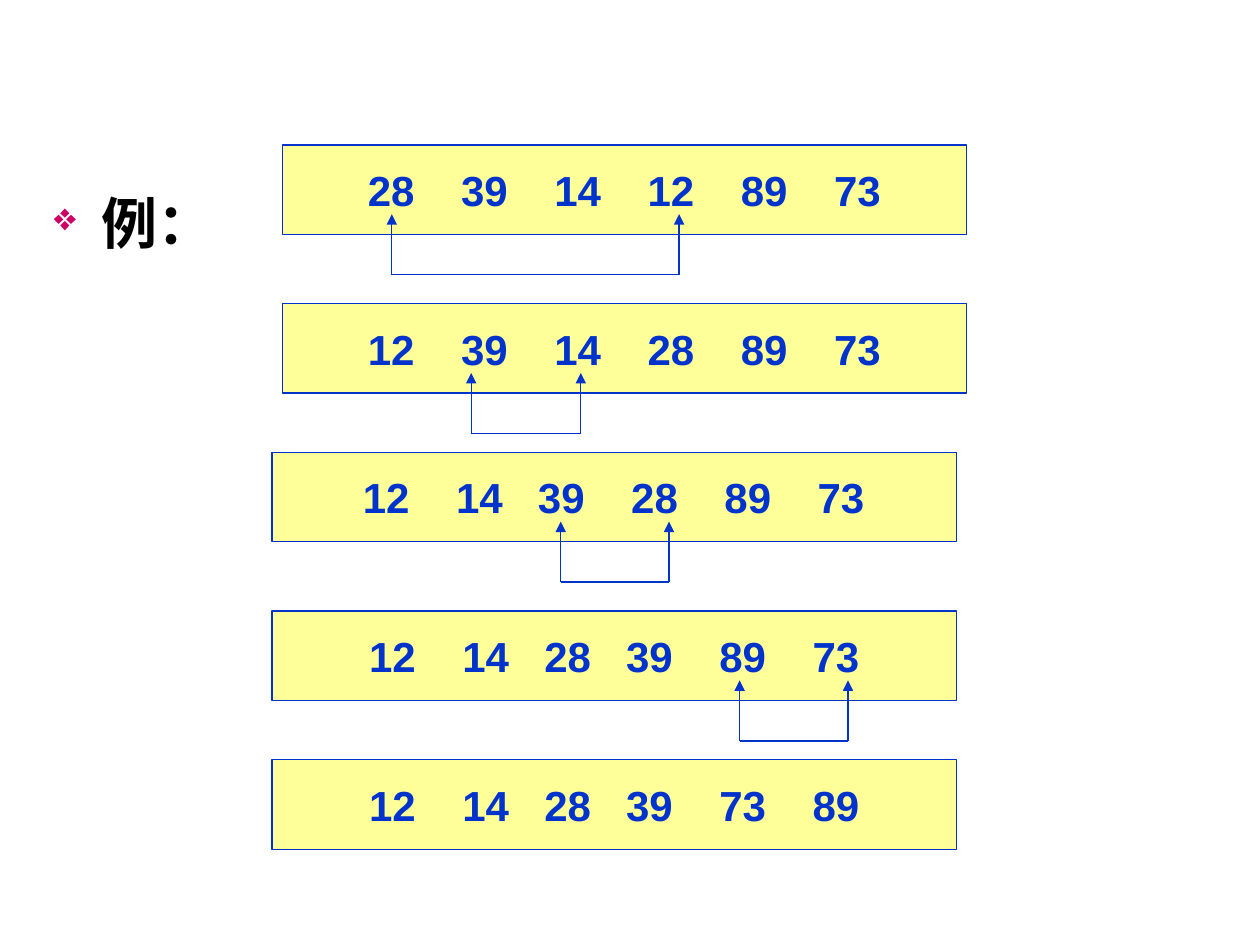
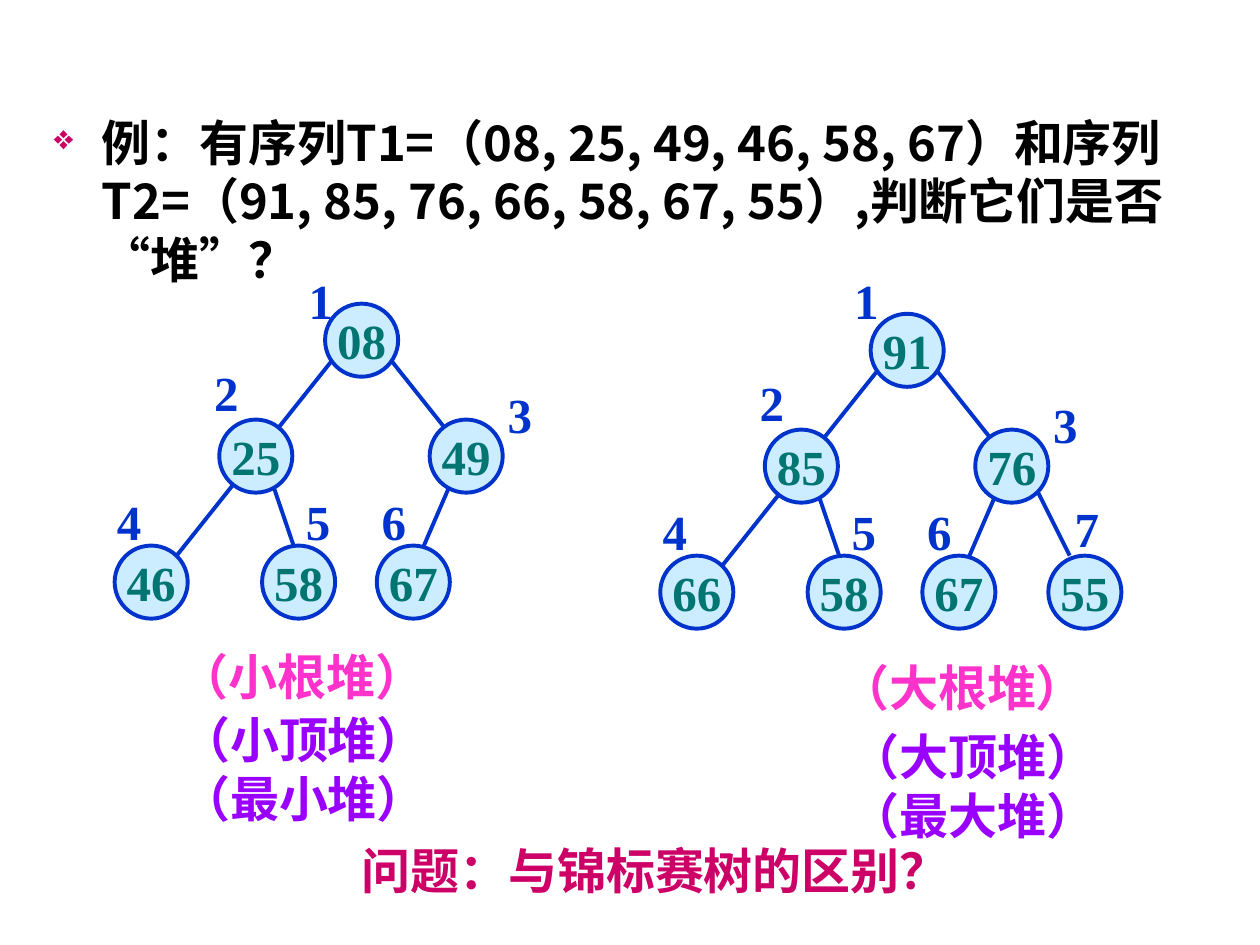
from itertools import accumulate
from typing import NamedTuple, Optional

from lxml import etree
from pptx import Presentation, util as u
from pptx.dml.color import RGBColor
from pptx.enum import lang, shapes, text
from pptx.oxml import ns

PX = 9144  # EMU in one px, at 100 px to the inch

BLUE, TEAL, BLACK = "0033CC", "007572", "000000"
YELLOW, PALE_BLUE = "FFFF99", "CCECFF"
CRIMSON, PINK, PURPLE = "CC0066", "FF33CC", "9900FF"
SANS, SERIF, CHINESE = "Arial", "Times New Roman", "Noto Sans CJK SC"
LEFT, CENTER = text.PP_ALIGN.LEFT, text.PP_ALIGN.CENTER
TOP, MIDDLE = text.MSO_ANCHOR.TOP, text.MSO_ANCHOR.MIDDLE
RECTANGLE, OVAL = shapes.MSO_SHAPE.RECTANGLE, shapes.MSO_SHAPE.OVAL


class Point(NamedTuple):
    x: int
    y: int

    def shifted(self, by: "Point") -> "Point":
        return Point(self.x + by.x, self.y + by.y)


class Box(NamedTuple):
    left: int
    top: int
    width: int
    height: int


# Shared drawing tools
def px(length: int) -> u.Emu:
    return u.Emu(length * PX)


def color(value: str) -> RGBColor:
    return RGBColor.from_string(value)


def add_element(parent, tag: str, **attributes: str):
    return etree.SubElement(parent, ns.qn(tag), **attributes)


def add_bullet(paragraph) -> None:
    properties = paragraph._p.get_or_add_pPr()
    properties.set("marL", str(px(38)))
    properties.set("indent", str(px(-38)))
    add_element(add_element(properties, "a:buClr"), "a:srgbClr", val=CRIMSON)
    add_element(properties, "a:buSzPct", val="70000")
    add_element(properties, "a:buChar", char="❖")


def add_tabs(paragraph, stops: list[int]) -> None:
    tab_list = add_element(paragraph._p.get_or_add_pPr(), "a:tabLst")
    for stop in stops:
        add_element(tab_list, "a:tab", pos=str(px(stop)), algn="l")


def write(shape, words: str, *, size: int = 28, font: str = CHINESE, ink: str = BLACK,
          align=LEFT, anchor=TOP, wrap: bool = True, bullet: bool = False,
          spacing: float = 1.0, inset: int = 10, tabs: Optional[list[int]] = None) -> None:
    """Fill a shape with bold text, one paragraph per line."""
    frame = shape.text_frame
    frame.word_wrap, frame.vertical_anchor = wrap, anchor
    frame.margin_left, frame.margin_right = px(inset), px(10)
    frame.margin_top = frame.margin_bottom = px(5)
    for index, line in enumerate(words.split("\n")):
        paragraph = frame.add_paragraph() if index else frame.paragraphs[0]
        if bullet:
            add_bullet(paragraph)
        if tabs:
            add_tabs(paragraph, tabs)
        paragraph.alignment, paragraph.line_spacing = align, spacing
        run = paragraph.add_run()
        run.text = line
        run.font.size, run.font.bold, run.font.name = u.Pt(size), True, font
        run.font.color.rgb = color(ink)
        run.font.language_id = lang.MSO_LANGUAGE_ID.SIMPLIFIED_CHINESE
        add_element(run._r.get_or_add_rPr(), "a:ea", typeface=CHINESE)


def add_text(slide, box: Box, words: str, **style) -> None:
    write(slide.shapes.add_textbox(*map(px, box)), words, **style)


def add_figure(slide, kind, box: Box, fill: str, weight: float):
    shape = slide.shapes.add_shape(kind, *map(px, box))
    shape.shadow.inherit = False
    shape.fill.solid()
    shape.fill.fore_color.rgb = color(fill)
    shape.line.color.rgb = color(BLUE)
    shape.line.width = u.Pt(weight)
    return shape


def add_line(slide, start: Point, end: Point, weight: float, arrow: bool = False) -> None:
    line = slide.shapes.add_connector(
        shapes.MSO_CONNECTOR.STRAIGHT, *map(px, (*start, *end)))
    line.line.color.rgb = color(BLUE)
    line.line.width = u.Pt(weight)
    if arrow:
        add_element(line.line._get_or_add_ln(), "a:tailEnd", type="triangle")
    add_element(line._element.spPr, "a:effectLst")


# Slide 1: the passes of an exchange sort
ROW_WIDTH, ROW_HEIGHT, NUMBER_WIDTH = 543, 71, 37
WIDE, NARROW = 74, 65  # steps from one number to the next
BRACKET_DROP, BRACKET_HEIGHT = 103, 48


class Pass(NamedTuple):
    left: int
    top: int
    numbers: str
    narrow_steps: tuple[int, ...] = ()
    swap: Optional[tuple[int, int]] = None  # x of the two arrows


PASSES = [
    Pass(224, 115, "28 39 14 12 89 73", swap=(311, 539)),
    Pass(224, 241, "12 39 14 28 89 73", swap=(374, 461)),
    Pass(216, 359, "12 14 39 28 89 73", (1,), (445, 531)),
    Pass(216, 485, "12 14 28 39 89 73", (1, 2), (587, 673)),
    Pass(216, 603, "12 14 28 39 73 89", (1, 2)),
]


def add_pass(slide, row: Pass) -> None:
    numbers = row.numbers.split()
    steps = [NARROW if i in row.narrow_steps else WIDE for i in range(len(numbers) - 1)]
    stops = list(accumulate(steps))
    bar = add_figure(slide, RECTANGLE, Box(row.left, row.top, ROW_WIDTH, ROW_HEIGHT),
                     YELLOW, 0.75)
    write(bar, "\t".join(numbers), size=24, font=SANS, ink=BLUE, anchor=MIDDLE,
          inset=(ROW_WIDTH - stops[-1] - NUMBER_WIDTH) // 2, tabs=stops)
    if row.swap:
        bottom = row.top + BRACKET_DROP
        corners = [Point(x, bottom) for x in row.swap]
        add_line(slide, *corners, 0.75)
        for corner in corners:
            add_line(slide, corner, corner.shifted(Point(0, -BRACKET_HEIGHT)), 0.75, arrow=True)


def build_sort_slide(slide) -> None:
    add_text(slide, Box(33, 139, 934, 503), "例：", size=32, font=SANS, bullet=True, spacing=1.1)
    for row in PASSES:
        add_pass(slide, row)


# Slide 2: a min heap and a max heap
NODE_SIZE, ROOT_LABEL_TOP = 58, 210


class Spot(NamedTuple):
    node: Point
    label: Point
    edge: Optional[tuple[Point, Point]] = None


class Heap(NamedTuple):
    shift: Point
    values: str


class Caption(NamedTuple):
    box: Box
    words: str
    ink: str


# The edge of node 4 runs from the root and passes behind node 2
SPOTS = [
    Spot(Point(258, 241), Point(235, ROOT_LABEL_TOP)),
    Spot(Point(174, 333), Point(160, 283)),
    Spot(Point(341, 333), Point(393, 300), (Point(308, 283), Point(374, 366))),
    Spot(Point(91, 433), Point(83, 385), (Point(266, 283), Point(133, 450))),
    Spot(Point(208, 433), Point(233, 385), (Point(216, 383), Point(233, 433))),
    Spot(Point(299, 433), Point(293, 385), (Point(358, 383), Point(333, 441))),
    Spot(Point(399, 433), Point(410, 383), (Point(391, 383), Point(416, 433))),
]
HEAPS = [
    Heap(Point(0, 0), "08 25 49 46 58 67"),
    Heap(Point(433, 8), "91 85 76 66 58 67 55"),
]
CAPTIONS = [
    Caption(Box(133, 508, 241, 57), "（小根堆）", PINK),
    Caption(Box(134, 558, 233, 104), "（小顶堆）\n（最小堆）", PURPLE),
    Caption(Box(657, 517, 228, 57), "（大根堆）", PINK),
    Caption(Box(665, 572, 228, 104), "（大顶堆）\n（最大堆）", PURPLE),
]


def add_heap(slide, heap: Heap) -> None:
    values = heap.values.split()
    for spot in SPOTS[:len(values)]:
        if spot.edge:
            start, end = (point.shifted(heap.shift) for point in spot.edge)
            add_line(slide, start, end, 2.25)
    for number, (value, spot) in enumerate(zip(values, SPOTS), 1):
        node = add_figure(slide, OVAL, Box(*spot.node.shifted(heap.shift), NODE_SIZE, NODE_SIZE),
                          PALE_BLUE, 2.25)
        write(node, value, font=SERIF, ink=TEAL, align=CENTER, anchor=MIDDLE, wrap=False)
        label = spot.label.shifted(heap.shift)
        top = ROOT_LABEL_TOP if number == 1 else label.y
        add_text(slide, Box(label.x, top, 39, 57), str(number), font=SERIF, ink=BLUE, wrap=False)


def build_heap_slide(slide) -> None:
    add_text(slide, Box(33, 84, 934, 558),
             "例：有序列T1=（08, 25, 49, 46, 58, 67）和序列T2=（91, 85, 76, 66, 58, 67, 55）"
             ",判断它们是否 “堆”？", bullet=True)
    for heap in HEAPS:
        add_heap(slide, heap)
    for caption in CAPTIONS:
        add_text(slide, caption.box, caption.words, ink=caption.ink)
    add_text(slide, Box(264, 659, 473, 63), "问题：与锦标赛树的区别？", font=SANS, ink=CRIMSON,
             align=CENTER, anchor=MIDDLE, wrap=False)


def main() -> None:
    presentation = Presentation()
    presentation.slide_width, presentation.slide_height = px(1000), px(750)
    blank = presentation.slide_layouts[6]
    for build in (build_sort_slide, build_heap_slide):
        build(presentation.slides.add_slide(blank))
    presentation.save("out.pptx")


if __name__ == "__main__":
    main()
